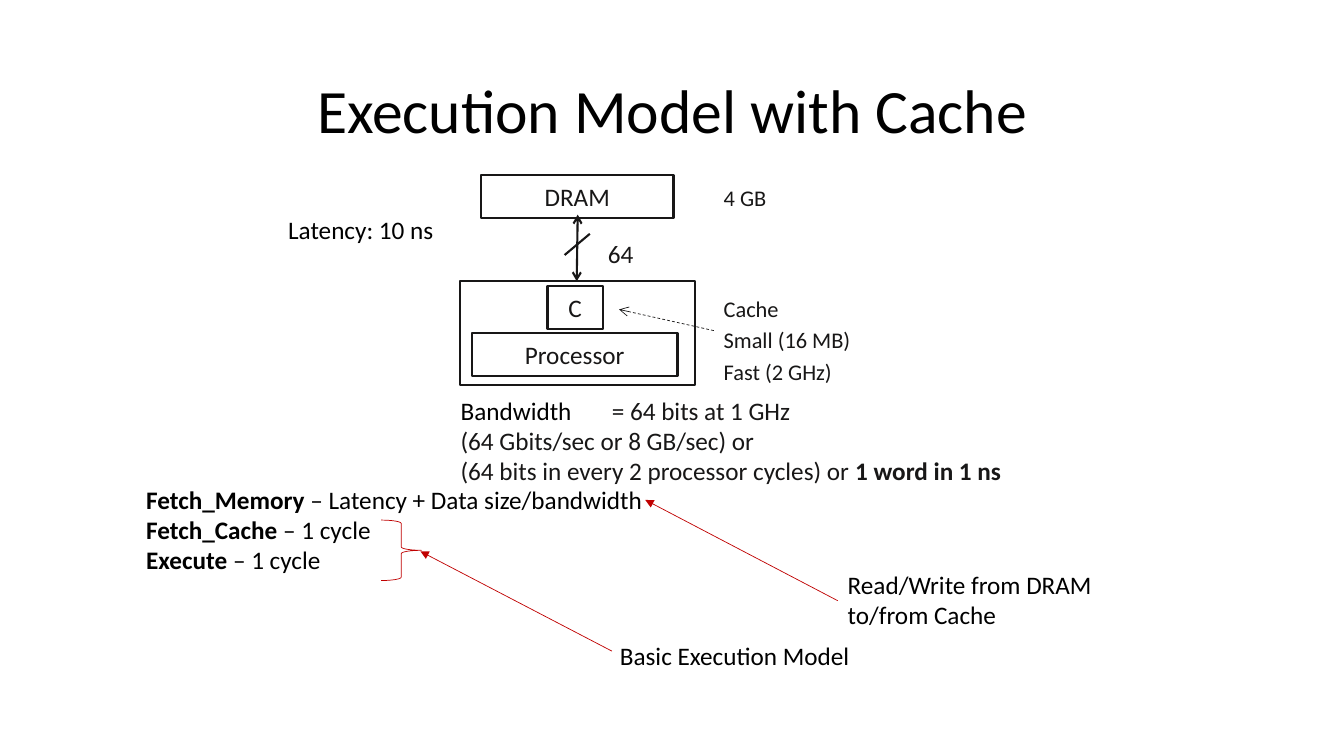
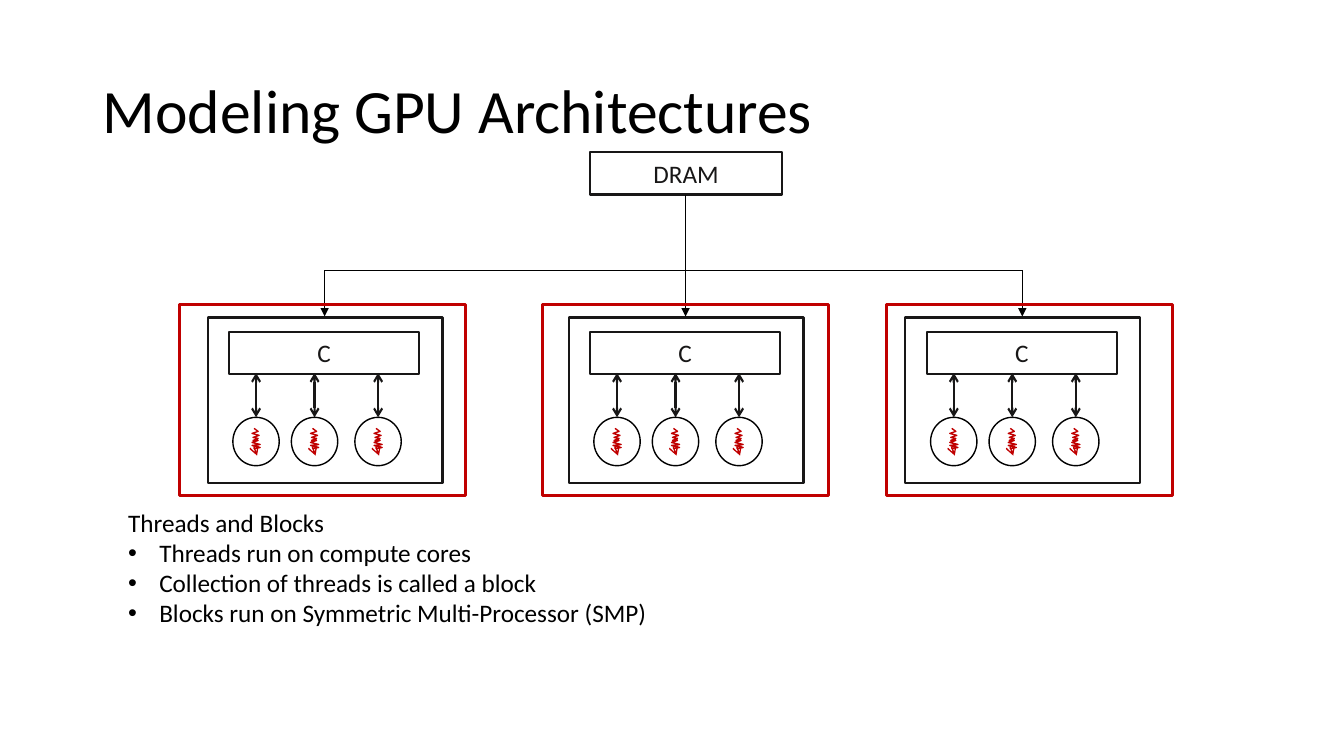
from typing import NamedTuple, Optional

from lxml.etree import SubElement
from pptx import Presentation
from pptx.dml.color import RGBColor
from pptx.enum.dml import MSO_LINE
from pptx.enum.shapes import MSO_CONNECTOR, MSO_SHAPE
from pptx.enum.text import MSO_ANCHOR, MSO_AUTO_SIZE, PP_ALIGN as Align
from pptx.oxml.ns import qn
from pptx.util import Inches, Pt

FONT = "Calibri"
BLACK, INK, RED, WHITE = "000000", "181717", "C00000", "FFFFFF"
BULLET_INDENT = 0.31

CORE_OFFSETS = (-0.68, -0.1, 0.53)
CORE_TOP, CORE_WIDTH, CORE_HEIGHT = 4.14, 0.46, 0.48
BUS_TOP = 2.68
# Zigzag of one thread, in hundredths of an inch
THREAD_POINTS = ((2, 0), (6, 3), (0, 5), (7, 7), (1, 9), (6, 10), (1, 12), (6, 12),
                 (0, 14), (8, 16), (0, 17), (8, 19), (2, 20), (5, 21), (5, 27))


class Box(NamedTuple):
    left: float
    top: float
    width: float
    height: float


class Run(NamedTuple):
    text: str
    bold: bool = False
    color: str = BLACK


class Line(NamedTuple):
    """A paragraph: its runs, an optional bullet and an optional tab stop."""
    runs: tuple[Run, ...]
    bullet: bool = False
    tab: Optional[float] = None


class Multiprocessor(NamedTuple):
    center: float
    frame_left: float


MULTIPROCESSORS = (Multiprocessor(3.22, 1.78), Multiprocessor(6.8, 5.38),
                   Multiprocessor(10.14, 8.79))


def rgb(color: str) -> RGBColor:
    return RGBColor.from_string(color)


def plain(text: str, color: str = BLACK, bullet: bool = False) -> Line:
    return Line((Run(text, color=color),), bullet)


def place(shape, box: Box) -> None:
    shape.left, shape.top, shape.width, shape.height = (Inches(value) for value in box)


def set_bullet(paragraph, bullet: bool) -> None:
    properties = paragraph._p.get_or_add_pPr()
    indent = Inches(BULLET_INDENT) if bullet else 0
    properties.set("marL", str(indent))
    properties.set("indent", str(-indent))
    if bullet:
        SubElement(properties, qn("a:buFont"), typeface="Arial")
        SubElement(properties, qn("a:buChar"), char="•")
    else:
        SubElement(properties, qn("a:buNone"))


def write(text_frame, lines: list[Line], size: float = 18, align: Align = Align.LEFT,
          gap: float = 0) -> None:
    for index, line in enumerate(lines):
        paragraph = text_frame.paragraphs[0] if index == 0 else text_frame.add_paragraph()
        set_bullet(paragraph, line.bullet)
        if line.tab:
            tabs = SubElement(paragraph._p.get_or_add_pPr(), qn("a:tabLst"))
            SubElement(tabs, qn("a:tab"), pos=str(Inches(line.tab)), algn="l")
        paragraph.alignment = align
        paragraph.space_before = Pt(gap if index else 0)
        for part in line.runs:
            run = paragraph.add_run()
            run.text = part.text
            run.font.name = FONT
            run.font.size = Pt(size)
            run.font.bold = part.bold
            run.font.color.rgb = rgb(part.color)


def add_text(slide, box: Box, lines: list[Line], size: float = 18, gap: float = 0,
             wrap: bool = True) -> None:
    shape = slide.shapes.add_textbox(*(Inches(value) for value in box))
    shape.text_frame.word_wrap = wrap
    write(shape.text_frame, lines, size, gap=gap)


def add_box(shapes, box: Box, label: str = "", kind: MSO_SHAPE = MSO_SHAPE.RECTANGLE,
            color: str = INK, weight: float = 1.5, fill: Optional[str] = WHITE) -> None:
    shape = shapes.add_shape(kind, *(Inches(value) for value in box))
    shape.shadow.inherit = False
    if fill:
        shape.fill.solid()
        shape.fill.fore_color.rgb = rgb(fill)
    else:
        shape.fill.background()
    shape.line.color.rgb = rgb(color)
    shape.line.width = Pt(weight)
    if label:
        shape.text_frame.vertical_anchor = MSO_ANCHOR.MIDDLE
        write(shape.text_frame, [plain(label, INK)], align=Align.CENTER)


def add_ends(shape, head: Optional[str], tail: Optional[str]) -> None:
    outline = shape._element.spPr.find(qn("a:ln"))
    for tag, kind in (("a:headEnd", head), ("a:tailEnd", tail)):
        if kind:
            SubElement(outline, qn(tag), type=kind)


def add_line(shapes, start: tuple[float, float], end: tuple[float, float],
             color: str = BLACK, weight: float = 0.5, head: Optional[str] = None,
             tail: Optional[str] = None, dashed: bool = False) -> None:
    line = shapes.add_connector(MSO_CONNECTOR.STRAIGHT,
                                *(Inches(value) for value in start + end))
    line.line.color.rgb = rgb(color)
    line.line.width = Pt(weight)
    if dashed:
        line.line.dash_style = MSO_LINE.DASH
    add_ends(line, head, tail)
    SubElement(line._element.spPr, qn("a:effectLst"))


def add_thread(shapes, left: float, top: float) -> None:
    builder = shapes.build_freeform(*THREAD_POINTS[0], scale=Inches(0.01))
    builder.add_line_segments(THREAD_POINTS[1:], close=False)
    thread = builder.convert_to_shape(Inches(left), Inches(top))
    thread.shadow.inherit = False
    thread.fill.background()
    thread.line.color.rgb = rgb(RED)
    thread.line.width = Pt(1)
    add_ends(thread, None, "arrow")


def start_slide(presentation, title: str, align: Align, body_box: Box, body: list[Line]):
    """Add a slide with its title and its body list."""
    slide = presentation.slides.add_slide(presentation.slide_layouts[1])
    heading, content = slide.shapes.title, slide.placeholders[1]
    place(heading, Box(0.92, 0.4, 11.5, 1.45))
    heading.text_frame.vertical_anchor = MSO_ANCHOR.MIDDLE
    write(heading.text_frame, [plain(title)], 44, align)
    heading.text_frame.paragraphs[0].line_spacing = 0.9
    place(content, body_box)
    content.text_frame.auto_size = MSO_AUTO_SIZE.NONE
    write(content.text_frame, body)
    return slide


def add_cache_slide(presentation) -> None:
    slide = start_slide(
        presentation, "Execution Model with Cache", Align.CENTER, Box(1.35, 4.75, 9.61, 1.01),
        [Line((Run("Fetch_Memory ", True), Run("– Latency + Data size/bandwidth"))),
         Line((Run("Fetch_Cache ", True), Run("– 1 cycle"))),
         Line((Run("Execute", True), Run(" – 1 cycle")))])

    diagram = slide.shapes.add_group_shape().shapes
    add_box(diagram, Box(4.56, 2.79, 2.33, 1.03))
    add_box(diagram, Box(4.77, 1.74, 1.91, 0.42), "DRAM")
    add_line(diagram, (5.73, 2.13), (5.72, 2.79), INK, 1.5, "arrow", "arrow")
    add_line(diagram, (5.6, 2.53), (5.85, 2.32), INK, 1.5)
    add_box(diagram, Box(5.43, 2.84, 0.55, 0.42), "C")
    add_box(diagram, Box(4.68, 3.3, 2.04, 0.43), "Processor")

    add_text(slide, Box(5.93, 2.32, 0.46, 0.4), [plain("64", INK)], wrap=False)
    add_text(slide, Box(2.76, 2.08, 1.8, 0.4), [plain("Latency: 10 ns")])
    add_text(slide, Box(7.08, 1.78, 1.03, 0.37), [plain("4 GB", INK)], 16)
    add_text(slide, Box(7.08, 2.88, 1.5, 1),
             [plain(text, INK) for text in ("Cache", "Small (16 MB)", "Fast (2 GHz)")],
             16, gap=3.2)
    add_line(slide.shapes, (7.08, 3.28), (6.14, 3.07), INK, tail="arrow", dashed=True)
    add_text(slide, Box(4.47, 3.87, 7.65, 1.01), [
        Line((Run("Bandwidth\t"), Run("= 64 bits at 1 GHz", color=INK)), tab=1.32),
        plain("(64 Gbits/sec or 8 GB/sec) or", INK),
        Line((Run("(64 bits in every 2 processor cycles) or ", color=INK),
              Run("1 word in 1 ns", True, INK)))])

    add_text(slide, Box(8.31, 5.6, 3.24, 0.71), [plain("Read/Write from DRAM to/from Cache")])
    add_text(slide, Box(6.05, 6.3, 3.24, 0.4), [plain("Basic Execution Model")])
    add_box(slide.shapes, Box(3.78, 5.16, 0.4, 0.6), kind=MSO_SHAPE.RIGHT_BRACE,
            color=RED, weight=0.5, fill=None)
    for start, end in (((8.31, 5.96), (6.4, 4.96)), ((6.07, 6.46), (4.17, 5.47))):
        add_line(slide.shapes, start, end, RED, tail="triangle")


def add_multiprocessor(slide, unit: Multiprocessor) -> None:
    chip = slide.shapes.add_group_shape().shapes
    add_box(chip, Box(unit.center - 1.16, 3.15, 2.33, 1.64))
    add_box(chip, Box(unit.center - 0.95, 3.29, 1.89, 0.42), "C")
    for offset in CORE_OFFSETS:
        center = unit.center + offset
        add_box(chip, Box(center - CORE_WIDTH / 2, CORE_TOP, CORE_WIDTH, CORE_HEIGHT),
                kind=MSO_SHAPE.OVAL, color=BLACK, weight=1)
        add_line(chip, (center, 3.7), (center, CORE_TOP), INK, 1.5, "arrow", "arrow")
        add_thread(slide.shapes, center - 0.04, 4.25)
    add_line(slide.shapes, (unit.center, BUS_TOP), (unit.center, 3.14), tail="triangle")
    add_box(slide.shapes, Box(unit.frame_left, 3.02, 2.84, 1.9),
            color=RED, weight=2.25, fill=None)


def add_gpu_slide(presentation) -> None:
    slide = start_slide(
        presentation, "Modeling GPU Architectures", Align.LEFT, Box(1.17, 4.98, 10.81, 1.31),
        [plain("Threads and Blocks"),
         plain("Threads run on compute cores", bullet=True),
         plain("Collection of threads is called a block", bullet=True),
         plain("Blocks run on Symmetric Multi-Processor (SMP)", bullet=True)])
    add_box(slide.shapes, Box(5.85, 1.51, 1.91, 0.42), "DRAM")
    for unit in MULTIPROCESSORS:
        add_multiprocessor(slide, unit)
    first, middle, last = (unit.center for unit in MULTIPROCESSORS)
    add_line(slide.shapes, (first, BUS_TOP), (last, BUS_TOP))
    add_line(slide.shapes, (middle, 1.93), (middle, BUS_TOP))


def main() -> None:
    presentation = Presentation()
    presentation.slide_width, presentation.slide_height = Inches(13.33), Inches(7.5)
    add_cache_slide(presentation)
    add_gpu_slide(presentation)
    presentation.save("out.pptx")


if __name__ == "__main__":
    main()
